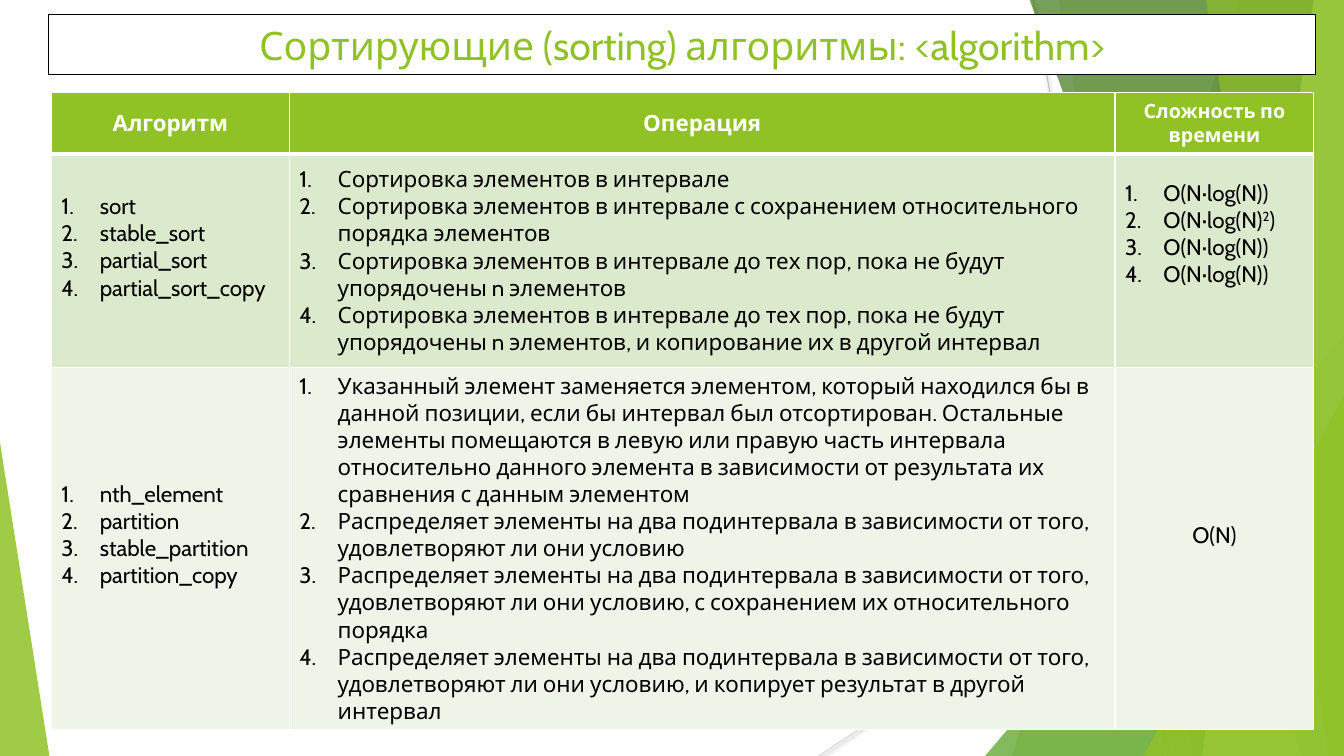
from dataclasses import dataclass

from lxml import etree
from pptx import Presentation
from pptx.dml.color import RGBColor
from pptx.enum.shapes import MSO_CONNECTOR, MSO_SHAPE
from pptx.enum.text import MSO_ANCHOR, PP_ALIGN
from pptx.oxml.ns import qn
from pptx.util import Pt

PX = 9144  # EMU per px, 100 px to the inch
SLIDE_WIDTH, SLIDE_HEIGHT = 1333, 750
FONT = "Cabin"

RECTANGLE = MSO_SHAPE.RECTANGLE
TRIANGLE = MSO_SHAPE.ISOSCELES_TRIANGLE
STRAIGHT = MSO_CONNECTOR.STRAIGHT
MIDDLE = MSO_ANCHOR.MIDDLE
LEFT, CENTER = PP_ALIGN.LEFT, PP_ALIGN.CENTER

WHITE = RGBColor(0xFF, 0xFF, 0xFF)
BLACK = RGBColor(0x00, 0x00, 0x00)
GREEN = RGBColor(0x90, 0xC2, 0x26)
MID_GREEN = RGBColor(0x54, 0xA0, 0x21)
DARK_GREEN = RGBColor(0x3F, 0x78, 0x19)
LIME = RGBColor(0xC0, 0xE4, 0x74)
BAND_DARK = RGBColor(0xDB, 0xE9, 0xCD)
BAND_LIGHT = RGBColor(0xEE, 0xF4, 0xE8)
GRAY = RGBColor(0xBF, 0xBF, 0xBF)
LIGHT_GRAY = RGBColor(0xD9, 0xD9, 0xD9)


@dataclass
class Ray:
    start: tuple[int, int]
    end: tuple[int, int]
    color: RGBColor


@dataclass
class Facet:
    """Polygon with its top edge at the slide's top and its base at the bottom."""
    top_left: int
    bottom_left: int
    bottom_right: int
    top_right: int
    color: RGBColor
    opacity: int


@dataclass
class Corner:
    """Right triangle standing on the slide's bottom edge."""
    left: int
    top: int
    width: int
    apex: int
    color: RGBColor
    opacity: int


@dataclass
class CellText:
    items: list[str]
    numbered: bool = True
    size: int = 16
    bold: bool = False
    color: RGBColor = BLACK
    lift: int = 0  # extra bottom margin, px


RAYS = [
    Ray((1025, 0), (1158, 750), GRAY),
    Ray((1333, 403), (812, 750), LIGHT_GRAY),
]
BACKDROP = [
    Facet(1228, 1004, 1333, 1333, GREEN, 30),
    Facet(1050, 1183, 1333, 1333, GREEN, 20),
    Corner(977, 333, 356, 1, MID_GREEN, 72),
    Facet(1021, 1291, 1333, 1333, DARK_GREEN, 70),
    Facet(1303, 1192, 1333, 1333, LIME, 70),
    Facet(1196, 1318, 1333, 1333, GREEN, 65),
    Corner(1134, 393, 199, 1, GREEN, 80),
    Corner(0, 439, 49, 0, GREEN, 85),
]

TITLE = "Сортирующие (sorting) алгоритмы: <algorithm>"
COLUMN_WIDTHS = [236, 819, 197]
ROW_HEIGHTS = [61, 212, 356]
ROW_FILLS = [GREEN, BAND_DARK, BAND_LIGHT]
LINE_STEP = 27


def heading(text: str, size: int = 16) -> CellText:
    return CellText([text], numbered=False, size=size, bold=True, color=WHITE)


# Text between two ^ marks is superscript.
ROWS = [
    [heading("Алгоритм"), heading("Операция"), heading("Сложность по времени", 14)],
    [
        CellText(["sort", "stable_sort", "partial_sort", "partial_sort_copy"], lift=LINE_STEP),
        CellText([
            "Сортировка элементов в интервале",
            "Сортировка элементов в интервале с сохранением относительного порядка элементов",
            "Сортировка элементов в интервале до тех пор, пока не будут упорядочены n элементов",
            "Сортировка элементов в интервале до тех пор, пока не будут упорядочены n элементов, "
            "и копирование их в другой интервал",
        ]),
        CellText(["O(N·log(N))", "O(N·log(N)^2^)", "O(N·log(N))", "O(N·log(N))"],
                 lift=2 * LINE_STEP),
    ],
    [
        CellText(["nth_element", "partition", "stable_partition", "partition_copy"],
                 lift=LINE_STEP),
        CellText([
            "Указанный элемент заменяется элементом, который находился бы в данной позиции, "
            "если бы интервал был отсортирован. Остальные элементы помещаются в левую или "
            "правую часть интервала относительно данного элемента в зависимости от результата "
            "их сравнения с данным элементом",
            "Распределяет элементы на два подинтервала в зависимости от того, "
            "удовлетворяют ли они условию",
            "Распределяет элементы на два подинтервала в зависимости от того, "
            "удовлетворяют ли они условию, с сохранением их относительного порядка",
            "Распределяет элементы на два подинтервала в зависимости от того, "
            "удовлетворяют ли они условию, и копирует результат в другой интервал",
        ]),
        CellText(["O(N)"], numbered=False, lift=LINE_STEP),
    ],
]


def set_alpha(color_parent, percent: int) -> None:
    color = color_parent.find(".//" + qn("a:srgbClr"))
    etree.SubElement(color, qn("a:alpha"), val=str(percent * 1000))


def draw_ray(shapes, ray: Ray) -> None:
    connector = shapes.add_connector(STRAIGHT, *(value * PX for value in ray.start + ray.end))
    connector.line.color.rgb = ray.color
    connector.line.width = Pt(0.75)
    effects = etree.SubElement(connector._element.spPr, qn("a:effectLst"))
    shadow = etree.SubElement(effects, qn("a:outerShdw"), blurRad=str(Pt(3.1)),
                              dist=str(Pt(1.6)), dir="5400000", rotWithShape="0")
    etree.SubElement(shadow, qn("a:srgbClr"), val=str(BLACK))
    set_alpha(shadow, 38)


def draw_backdrop(shapes, part: Facet | Corner) -> None:
    if isinstance(part, Facet):
        builder = shapes.build_freeform(part.top_left, -1, scale=PX)
        builder.add_line_segments([(part.top_right, -1), (part.bottom_right, SLIDE_HEIGHT),
                                   (part.bottom_left, SLIDE_HEIGHT)])
        shape = builder.convert_to_shape()
    else:
        shape = shapes.add_shape(TRIANGLE, part.left * PX, part.top * PX, part.width * PX,
                                 (SLIDE_HEIGHT - part.top) * PX)
        shape.adjustments[0] = part.apex
    shape.fill.solid()
    shape.fill.fore_color.rgb = part.color
    set_alpha(shape._element.spPr, part.opacity)
    shape.line.fill.background()
    shape.shadow.inherit = False


def draw_title(shapes) -> None:
    box = shapes.add_shape(RECTANGLE, 48 * PX, 14 * PX, 1257 * PX, 60 * PX)
    box.fill.solid()
    box.fill.fore_color.rgb = WHITE
    box.line.color.rgb = BLACK
    box.line.width = Pt(0.75)
    box.shadow.inherit = False
    box.text_frame.text = TITLE
    box.text_frame.vertical_anchor = MIDDLE
    paragraph = box.text_frame.paragraphs[0]
    paragraph.alignment = CENTER
    paragraph.font.size = Pt(28)
    font = paragraph.runs[0].font
    font.name, font.size, font.color.rgb = FONT, Pt(28), GREEN


def number_paragraph(paragraph) -> None:
    properties = paragraph._p.get_or_add_pPr()
    properties.set("marL", str(38 * PX))
    properties.set("indent", str(-38 * PX))
    etree.SubElement(properties, qn("a:buFont"), typeface=FONT)
    etree.SubElement(properties, qn("a:buAutoNum"), type="arabicPeriod")


def fill_cell(cell, content: CellText, fill: RGBColor, top: int, bottom: int) -> None:
    """Write the cell; top and bottom are border widths in points."""
    properties = cell._tc.get_or_add_tcPr()
    for side, width in (("L", 1), ("R", 1), ("T", top), ("B", bottom)):
        border = etree.SubElement(properties, qn(f"a:ln{side}"), w=str(Pt(width)))
        solid = etree.SubElement(border, qn("a:solidFill"))
        etree.SubElement(solid, qn("a:srgbClr"), val=str(WHITE))
    cell.fill.solid()
    cell.fill.fore_color.rgb = fill
    cell.vertical_anchor = MIDDLE
    cell.margin_bottom = (5 + content.lift) * PX
    cell.text_frame.text = "\n".join(content.items)
    for paragraph, item in zip(cell.text_frame.paragraphs, content.items):
        paragraph.alignment = LEFT if content.numbered else CENTER
        if content.numbered:
            number_paragraph(paragraph)
        paragraph.clear()
        for index, piece in enumerate(item.split("^")):
            run = paragraph.add_run()
            run.text = piece
            font = run.font
            font.name, font.size, font.bold = FONT, Pt(content.size), content.bold
            font.color.rgb = content.color
            if index % 2:
                run._r.get_or_add_rPr().set("baseline", "30000")


def draw_table(shapes) -> None:
    table = shapes.add_table(len(ROWS), len(COLUMN_WIDTHS), 51 * PX, 92 * PX,
                             sum(COLUMN_WIDTHS) * PX, sum(ROW_HEIGHTS) * PX).table
    for column, width in zip(table.columns, COLUMN_WIDTHS):
        column.width = width * PX
    for row_index, contents in enumerate(ROWS):
        table.rows[row_index].height = ROW_HEIGHTS[row_index] * PX
        top, bottom = 3 if row_index == 1 else 1, 3 if row_index == 0 else 1
        for column_index, content in enumerate(contents):
            fill_cell(table.cell(row_index, column_index), content, ROW_FILLS[row_index],
                      top, bottom)


def main() -> None:
    presentation = Presentation()
    presentation.slide_width = SLIDE_WIDTH * PX
    presentation.slide_height = SLIDE_HEIGHT * PX
    slide = presentation.slides.add_slide(presentation.slide_layouts[6])
    for ray in RAYS:
        draw_ray(slide.shapes, ray)
    for part in BACKDROP:
        draw_backdrop(slide.shapes, part)
    draw_title(slide.shapes)
    draw_table(slide.shapes)
    presentation.save("out.pptx")


if __name__ == "__main__":
    main()
